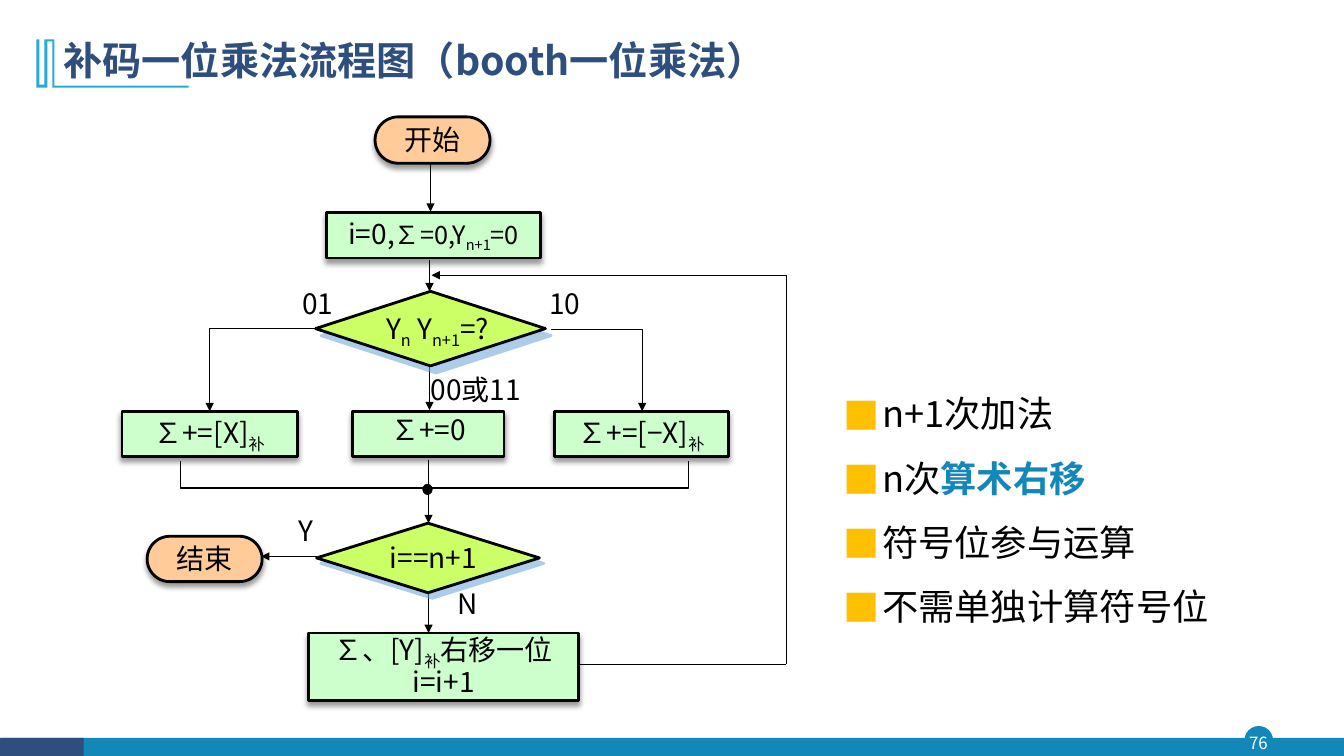
from pptx import Presentation
from pptx.util import Inches, Pt
from pptx.dml.color import RGBColor
from pptx.enum.shapes import MSO_SHAPE as Kind, MSO_CONNECTOR as Link
from pptx.enum.text import PP_ALIGN as Align, MSO_ANCHOR as Anchor
from pptx.oxml.ns import qn
from lxml.etree import SubElement as Sub

FONT = "Noto Sans CJK SC"
BLACK = RGBColor(0x00, 0x00, 0x00)
WHITE = RGBColor(0xFF, 0xFF, 0xFF)
NAVY = RGBColor(0x2E, 0x4E, 0x7E)
TEAL = RGBColor(0x13, 0x87, 0xB7)
SKY = RGBColor(0x28, 0xA9, 0xD6)
AMBER = RGBColor(0xFF, 0xC0, 0x00)
PEACH = RGBColor(0xFF, 0xCC, 0x99)
MINT = RGBColor(0xCC, 0xFF, 0xCC)
LIME = RGBColor(0xCC, 0xFF, 0x66)
BLUE = RGBColor(0x5B, 0x9B, 0xD5)

TITLE = "补码一位乘法流程图（booth一位乘法）"
MARK = [(0.54, 0.39), (0.54, 0.85), (1.87, 0.85), (1.87, 0.87), (0.52, 0.87),
        (0.52, 0.41), (0.47, 0.41), (0.47, 0.87), (0.36, 0.87), (0.36, 0.39),
        (0.39, 0.39), (0.39, 0.84), (0.44, 0.84), (0.44, 0.39)]
MERGE = [(1.79, 4.57), (1.79, 4.84), (6.83, 4.84), (6.83, 4.57)]

PILLS = [((3.72, 1.16, 1.14, 0.46), "开始"), ((1.46, 5.32, 1.14, 0.45), "结束")]
STEPS = [
    ((3.24, 2.11, 2.12, 0.45),
     [("i=0,", 20, False), ("∑=0,Y", 18, False), ("n+1", 18, True), ("=0", 18, False)]),
    ((1.21, 4.08, 1.74, 0.45), [("∑+=[X]", 20, False), ("补", 20, True)]),
    ((3.5, 4.08, 1.5, 0.45), [("∑+=0", 20, False)]),
    ((5.5, 4.08, 1.73, 0.45), [("∑+=[−X]", 20, False), ("补", 20, True)]),
]
SHIFT = (3.06, 6.28, 2.68, 0.67)
SHIFT_TEXT = [
    [("∑、[Y]", 20, False), ("补", 20, True), ("右移一位", 20, False)],
    [("i=i+1", 20, False)],
]
TESTS = [((3.13, 2.89, 2.28, 0.74), 6.4), ((3.14, 5.19, 2.21, 0.69), 5)]
LABELS = [
    ((3.81, 3.13, 1.06, 0.46),
     [("Y", 20, False), ("n", 20, True), (" Y", 20, False),
      ("n+1", 20, True), ("=?", 20, False)]),
    ((3.77, 5.43, 1.06, 0.46), [("i==n+1", 20, False)]),
    ((2.89, 2.91, 0.52, 0.38), [("01", 20, False)]),
    ((5.34, 2.91, 0.52, 0.46), [("10", 20, False)]),
    ((4.11, 3.76, 1.22, 0.47), [("00或11", 20, False)]),
    ((2.79, 5.16, 0.48, 0.46), [("Y", 20, False)]),
    ((4.4, 5.88, 0.48, 0.46), [("N", 20, False)]),
]
ARROWS = [
    (4.27, 1.63, 4.27, 2.1), (4.26, 2.58, 4.26, 2.89), (4.26, 3.6, 4.26, 4.07),
    (4.25, 4.56, 4.25, 5.19), (4.25, 5.88, 4.25, 6.28), (3.14, 5.52, 2.59, 5.52),
]
BENDS = [(3.15, 3.26, 2.08, 4.08), (5.47, 3.27, 6.37, 4.08)]
LOOP = [(5.48, 6.59), (7.8, 6.59), (7.8, 2.73), (4.28, 2.73)]
NOTES = [
    [("n+1次加法", False)],
    [("n次", False), ("算术右移", True)],
    [("符号位参与运算", False)],
    [("不需单独计算符号位", False)],
]

deck = Presentation()
deck.slide_width, deck.slide_height = Inches(13.33), Inches(7.5)
slide = deck.slides.add_slide(deck.slide_layouts[5])
shapes = slide.shapes


def place(box):
    return [Inches(n) for n in box]


def add_run(para, text, size, color=BLACK, bold=False, sub=False):
    run = para.add_run()
    run.text = text
    font = run.font
    font.size, font.bold, font.name = Pt(size), bold, FONT
    font.color.rgb = color
    props = run._r.get_or_add_rPr()
    Sub(props, qn("a:ea"), typeface=FONT)
    if sub:
        props.set("baseline", "-25000")


def set_frame(frame, pads, anchor=Anchor.TOP):
    frame.word_wrap = True
    frame.vertical_anchor = anchor
    (frame.margin_left, frame.margin_top,
     frame.margin_right, frame.margin_bottom) = place(pads)


def write(frame, lines, pads=(0, 0, 0, 0), anchor=Anchor.TOP):
    set_frame(frame, pads, anchor)
    for i, line in enumerate(lines):
        para = frame.add_paragraph() if i else frame.paragraphs[0]
        para.alignment, para.line_spacing = Align.CENTER, 0.8
        if i:
            para.space_before = Pt(3)
        for text, size, sub in line:
            add_run(para, text, size, sub=sub)


def add_shape(kind, box, fill, edge=None, width=1):
    shape = shapes.add_shape(kind, *place(box))
    shape.shadow.inherit = False
    shape.fill.solid()
    shape.fill.fore_color.rgb = fill
    if edge is None:
        shape.line.fill.background()
    else:
        shape.line.color.rgb, shape.line.width = edge, Pt(width)
    return shape


def add_node(kind, box, fill, tint=BLACK, alpha=40, blur=4, dist=3, turn=90):
    node = add_shape(kind, box, fill, BLACK, 2)
    effects = node._element.spPr.find(qn("a:effectLst"))
    cast = Sub(effects, qn("a:outerShdw"), blurRad=str(Pt(blur)), dist=str(Pt(dist)),
               dir=str(turn * 60000), algn="ctr", rotWithShape="0")
    hue = Sub(cast, qn("a:srgbClr"), val=str(tint))
    Sub(hue, qn("a:alpha"), val=str(alpha * 1000))
    return node


def add_path(points, closed):
    spots = [(Inches(x), Inches(y)) for x, y in points]
    pen = shapes.build_freeform(*spots[0])
    pen.add_line_segments(spots[1:], close=closed)
    shape = pen.convert_to_shape()
    shape.shadow.inherit = False
    return shape


def add_line(ends, width=1, head=True, bent=False):
    line = shapes.add_connector(Link.ELBOW if bent else Link.STRAIGHT, *place(ends))
    line.line.color.rgb, line.line.width = BLACK, Pt(width)
    props = line._element.spPr
    if bent:
        props.find(qn("a:prstGeom")).set("prst", "bentConnector2")
    if head:
        Sub(props.find(qn("a:ln")), qn("a:tailEnd"), type="triangle")
    Sub(props, qn("a:effectLst"))


add_shape(Kind.OVAL, (12.35, 7.21, 0.27, 0.27), TEAL, TEAL)
add_shape(Kind.RECTANGLE, (0.01, 7.32, 13.32, 0.19), TEAL)
add_shape(Kind.RECTANGLE, (0, 7.32, 0.83, 0.19), NAVY)
page = shapes.add_textbox(*place((12.32, 7.21, 0.32, 0.31))).text_frame
set_frame(page, (0, 0, 0, 0), Anchor.MIDDLE)
page.paragraphs[0].alignment = Align.CENTER
add_run(page.paragraphs[0], "76", 12, WHITE)

mark = add_path(MARK, True)
mark.fill.solid()
mark.fill.fore_color.rgb = SKY
mark.line.fill.background()

title = shapes.title
title.left, title.top, title.width, title.height = place((0.53, 0.28, 11.5, 0.68))
set_frame(title.text_frame, (0.1, 0.05, 0.1, 0.05), Anchor.MIDDLE)
head = title.text_frame.paragraphs[0]
head.alignment, head.line_spacing = Align.LEFT, 0.9
add_run(head, TITLE, 28, NAVY, True)

for box, text in PILLS:
    pill = add_node(Kind.ROUNDED_RECTANGLE, box, PEACH)
    pill.adjustments[0] = 0.5
    write(pill.text_frame, [[(text, 20, False)]], (0.1, 0.05, 0.1, 0.05))
for box, runs in STEPS:
    write(add_node(Kind.RECTANGLE, box, MINT).text_frame, [runs], (0, 0.08, 0, 0))

merge = add_path(MERGE, False)
merge.fill.background()
merge.line.color.rgb, merge.line.width = BLACK, Pt(1)
add_shape(Kind.OVAL, (4.2, 4.81, 0.08, 0.09), BLACK, BLACK, 1.5)

for ends in ARROWS:
    add_line(ends)
for ends in BENDS:
    add_line(ends, bent=True)
for start, end in zip(LOOP, LOOP[1:]):
    add_line(start + end, 0.75, end == LOOP[-1])

for box, dist in TESTS:
    add_node(Kind.DIAMOND, box, LIME, BLUE, 50, 0, dist, 52)
shift = add_node(Kind.RECTANGLE, SHIFT, MINT)
write(shift.text_frame, SHIFT_TEXT, anchor=Anchor.MIDDLE)
for box, runs in LABELS:
    write(shapes.add_textbox(*place(box)).text_frame, [runs])

notes = shapes.add_textbox(*place((8.27, 3.75, 4.45, 2.98))).text_frame
set_frame(notes, (0.1, 0.05, 0.1, 0.05))
for i, runs in enumerate(NOTES):
    para = notes.add_paragraph() if i else notes.paragraphs[0]
    props = para._p.get_or_add_pPr()
    props.set("marL", str(Inches(0.38)))
    props.set("indent", str(-Inches(0.38)))
    Sub(Sub(props, qn("a:buClr")), qn("a:srgbClr"), val=str(AMBER))
    Sub(props, qn("a:buFont"), typeface=FONT)
    Sub(props, qn("a:buChar"), char="■")
    para.alignment, para.line_spacing = Align.JUSTIFY, 1.2
    if i:
        para.space_before = Pt(8.5)
    for text, key in runs:
        add_run(para, text, 25.9, TEAL if key else BLACK, key)

deck.save("out.pptx")
